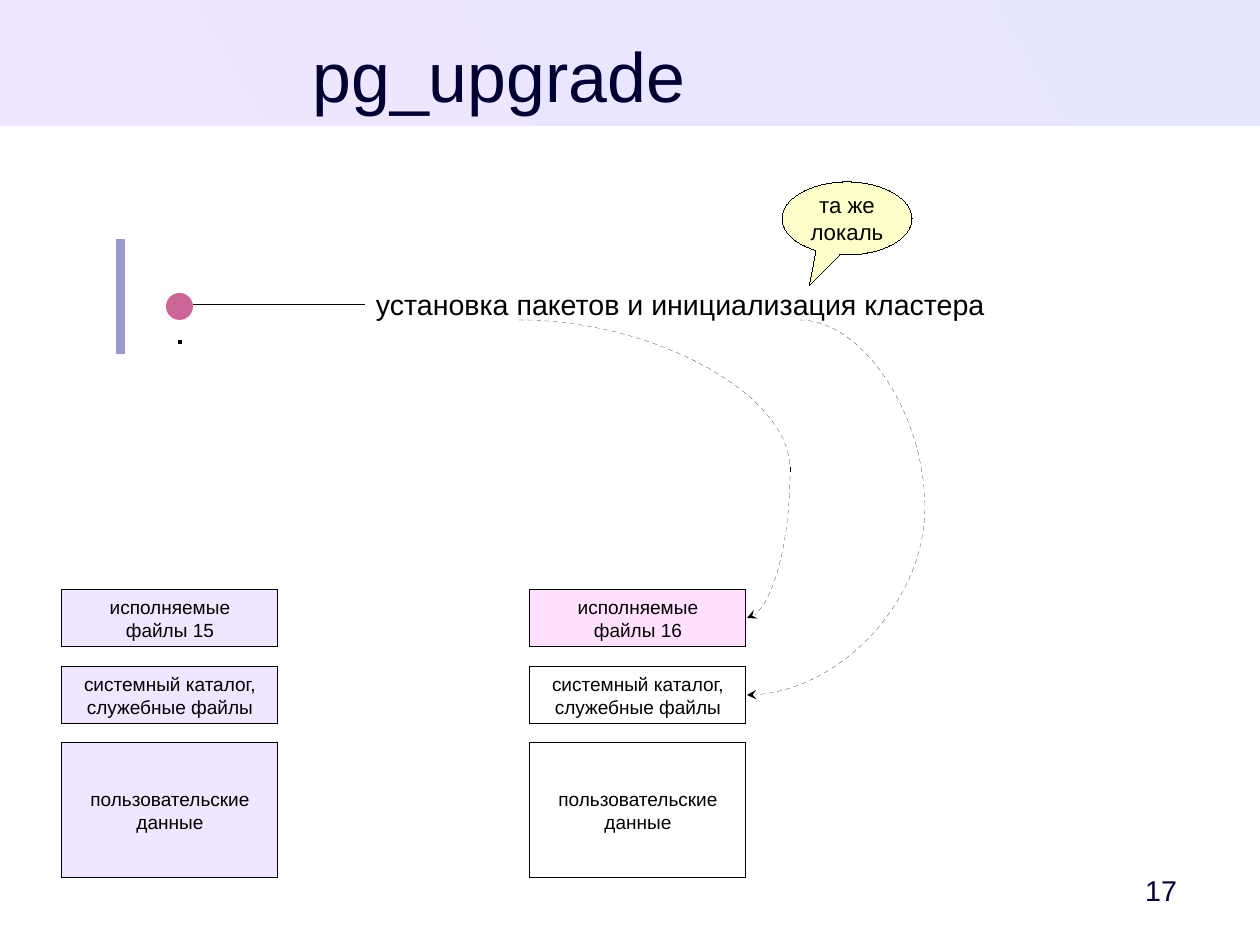
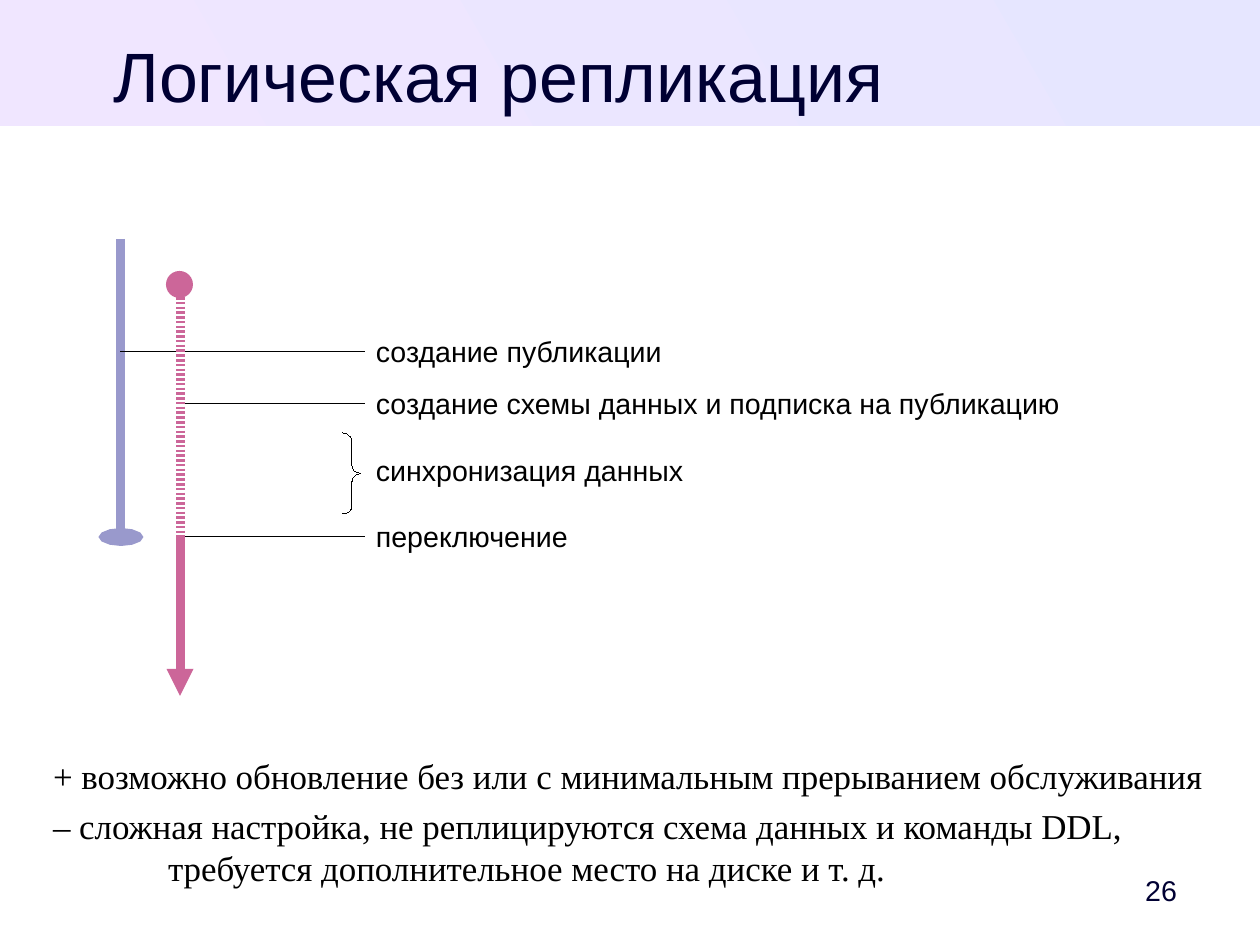
from pptx import Presentation
from pptx.dml.color import RGBColor
from pptx.enum.shapes import MSO_CONNECTOR, MSO_SHAPE
from pptx.enum.text import MSO_ANCHOR, PP_ALIGN
from pptx.oxml.ns import qn
from pptx.util import Pt
from lxml import etree

PX = 8000
WIDTH, HEIGHT = 1260, 945
RECT, OVAL = MSO_SHAPE.RECTANGLE, MSO_SHAPE.OVAL
CALLOUT, BRACE = MSO_SHAPE.OVAL_CALLOUT, MSO_SHAPE.RIGHT_BRACE
STRAIGHT, CURVE = MSO_CONNECTOR.STRAIGHT, MSO_CONNECTOR.CURVE
LEFT, CENTER, RIGHT = PP_ALIGN.LEFT, PP_ALIGN.CENTER, PP_ALIGN.RIGHT
TOP, MIDDLE = MSO_ANCHOR.TOP, MSO_ANCHOR.MIDDLE
BLACK, NAVY, WHITE = "000000", "000033", "FFFFFF"
OLD, NEW = "9999CC", "CC6699"
LILAC, PINK, YELLOW, SKY = "F0E6FF", "FFE1FF", "FFFFCC", "E6E6FF"
SANS, SERIF = "Arial", "Times New Roman"
THICK = 5.67
OLD_X, NEW_X, LABEL_X = 121, 180, 365
START_Y = 239


def px(*values):
    """Turn pixel lengths into EMU."""
    return [v * PX for v in values]


def rgb(value):
    """Turn a hex string into a colour."""
    return RGBColor.from_string(value)


def put_text(sp, text, size=18, font=SANS, color=BLACK, align=LEFT, anchor=TOP,
             insets=(11, 6, 11, 6), wrap=True, after=0, hang=0):
    """Write text into a shape, one paragraph a line."""
    tf = sp.text_frame
    tf.word_wrap = wrap
    tf.vertical_anchor = anchor
    tf.margin_left, tf.margin_top, tf.margin_right, tf.margin_bottom = px(*insets)
    tf.text = text
    for p in tf.paragraphs:
        p.alignment = align
        p.space_after = Pt(after)
        if hang:
            pPr = p._p.get_or_add_pPr()
            pPr.set("marL", str(hang * PX))
            pPr.set("indent", str(-hang * PX))
        for r in p.runs:
            r.font.size = Pt(size)
            r.font.name = font
            r.font.color.rgb = rgb(color)


def add_text(s, box, text, **fmt):
    """Add a text box."""
    put_text(s.shapes.add_textbox(*px(*box)), text, **fmt)


def set_line(sp, color, width=0):
    """Colour an outline, write its width even when zero, and return it."""
    sp.line.color.rgb = rgb(color)
    ln = sp.element.spPr.find(qn("a:ln"))
    ln.set("w", str(int(Pt(width))))
    return ln


def add_shape(s, kind, box, fill=None, line=None, adj=()):
    """Add a preset shape with plain fill and hairline outline."""
    sp = s.shapes.add_shape(kind, *px(*box))
    sp.shadow.inherit = False
    for i, value in enumerate(adj):
        sp.adjustments[i] = value
    if fill:
        sp.fill.solid()
        sp.fill.fore_color.rgb = rgb(fill)
    else:
        sp.fill.background()
    if line:
        set_line(sp, line)
    else:
        sp.line.fill.background()
    return sp


def add_line(s, start, end, color=BLACK, width=0, dash=None, tail=None, bend=None):
    """Add a straight line, or a curve that swings out to x = bend."""
    kind = CURVE if bend else STRAIGHT
    cn = s.shapes.add_connector(kind, *px(*start, *end))
    ln = set_line(cn, color, width)
    spPr = cn.element.spPr
    etree.SubElement(spPr, qn("a:effectLst"))
    if dash:
        stops = etree.SubElement(ln, qn("a:custDash"))
        on, off = (str(n * 1000) for n in dash)
        etree.SubElement(stops, qn("a:ds"), d=on, sp=off)
    if tail:
        head, w, length = tail
        etree.SubElement(ln, qn("a:tailEnd"), type=head, w=w, len=length)
    if bend:
        ratio = round((bend - start[0]) / (end[0] - start[0]) * 100000)
        guides = spPr.find(qn("a:prstGeom")).get_or_add_avLst()
        etree.SubElement(guides, qn("a:gd"), name="adj1", fmla=f"val {ratio}")


def add_label(s, y, text):
    """Add a step name beside the timeline."""
    add_text(s, (LABEL_X, y - 24, 800, 43), text)


def add_step(s, x, y, text):
    """Add a step name with its leader line from x."""
    add_line(s, (x, y), (LABEL_X, y))
    add_label(s, y, text)


def add_start(s, y):
    """Add the dot where the new server starts."""
    add_shape(s, OVAL, (NEW_X - 14, y, 27, 27), NEW)


def add_stack(s, x, version, fills):
    """Add the column of boxes for one server version."""
    blocks = [(f"исполняемые\nфайлы {version}", 58),
              ("системный каталог,\nслужебные файлы", 58),
              ("пользовательские\nданные", 135)]
    y = 589
    for (text, h), fill in zip(blocks, fills):
        sp = add_shape(s, RECT, (x, y, 216, h), fill, BLACK)
        put_text(sp, text, size=12, align=CENTER, anchor=MIDDLE, wrap=False)
        y += h + 19


def new_slide(prs, title, number):
    """Add a slide with its band, title and number."""
    s = prs.slides.add_slide(prs.slide_layouts[6])
    band = add_shape(s, RECT, (0, 0, WIDTH, 126))
    band.fill.gradient()
    band.fill.gradient_angle = 210
    for stop, color in zip(band.fill.gradient_stops, (SKY, LILAC)):
        stop.color.rgb = rgb(color)
    add_text(s, (1108, 864, 99, 53), str(number), color=NAVY, align=RIGHT,
             anchor=MIDDLE, insets=(11, 6, 30, 6))
    add_text(s, (53, 33, 892, 79), title, size=44, color=NAVY, align=CENTER,
             insets=(0, 0, 0, 0))
    return s


def upgrade_slide(prs):
    """Build the slide on pg_upgrade."""
    s = new_slide(prs, "pg_upgrade", 17)
    add_line(s, (OLD_X, START_Y), (OLD_X, 354), OLD, THICK)
    add_step(s, NEW_X + 14, 305, "установка пакетов и инициализация кластера")
    add_start(s, 293)
    add_line(s, (NEW_X, 340), (NEW_X, 354), width=2.83, dash=(100, 300))
    add_stack(s, 62, 15, (LILAC, LILAC, LILAC))
    add_stack(s, 530, 16, (PINK, WHITE, WHITE))
    for start, end, bend in (((519, 320), (747, 618), 790),
                             ((800, 320), (747, 695), 925)):
        add_line(s, start, end, dash=(400, 300), bend=bend,
                 tail=("stealth", "med", "med"))
    sp = add_shape(s, CALLOUT, (782, 182, 130, 73), YELLOW, BLACK, (-0.29, 0.92))
    put_text(sp, "та же\nлокаль", size=14, align=CENTER, anchor=MIDDLE, wrap=False)


def replication_slide(prs):
    """Build the slide on logical replication."""
    s = new_slide(prs, "Логическая репликация", 26)
    switch_y = 537
    add_line(s, (OLD_X, START_Y), (OLD_X, switch_y), OLD, THICK,
             tail=("oval", "lg", "sm"))
    add_step(s, OLD_X, 352, "создание публикации")
    add_step(s, NEW_X, 404, "создание схемы данных и подписка на публикацию")
    add_shape(s, BRACE, (343, 433, 18, 81), line=BLACK, adj=(0.44, 0.5))
    add_label(s, 471, "синхронизация данных")
    add_step(s, NEW_X, switch_y, "переключение")
    add_line(s, (NEW_X, switch_y), (NEW_X, 696), NEW, THICK,
             tail=("triangle", "med", "med"))
    add_start(s, 271)
    add_line(s, (NEW_X, 297), (NEW_X, switch_y), NEW, THICK, dash=(28, 25))
    add_text(s, (53, 755, 1166, 137),
             "+ возможно обновление без или с минимальным прерыванием обслуживания\n"
             "– сложная настройка, не реплицируются схема данных и команды DDL,\v"
             "требуется дополнительное место на диске и т. д.",
             size=22, font=SERIF, insets=(0, 0, 0, 0), after=5, hang=115)


def main():
    """Build and save the presentation."""
    prs = Presentation()
    prs.slide_width, prs.slide_height = px(WIDTH, HEIGHT)
    upgrade_slide(prs)
    replication_slide(prs)
    prs.save("out.pptx")


if __name__ == "__main__":
    main()
